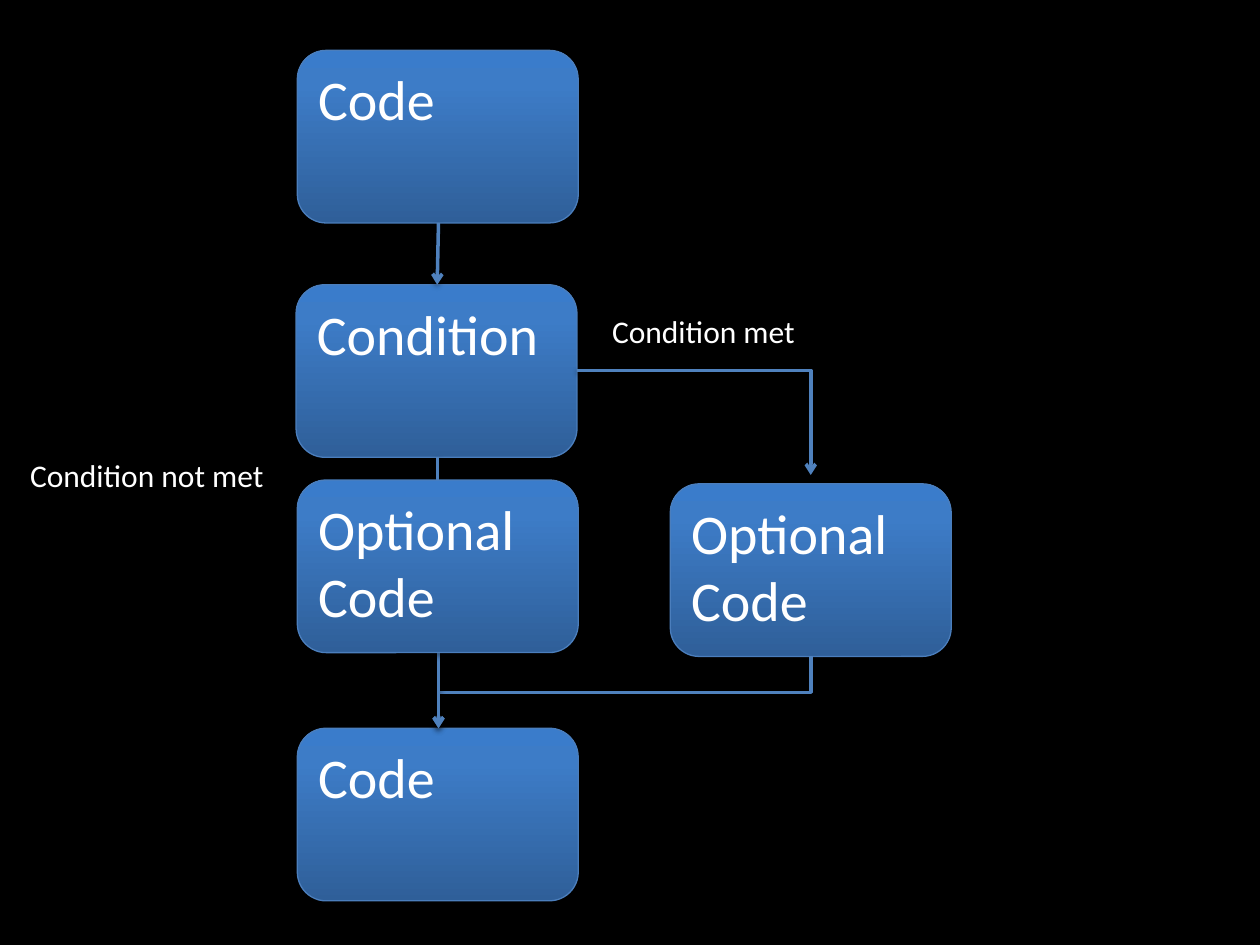
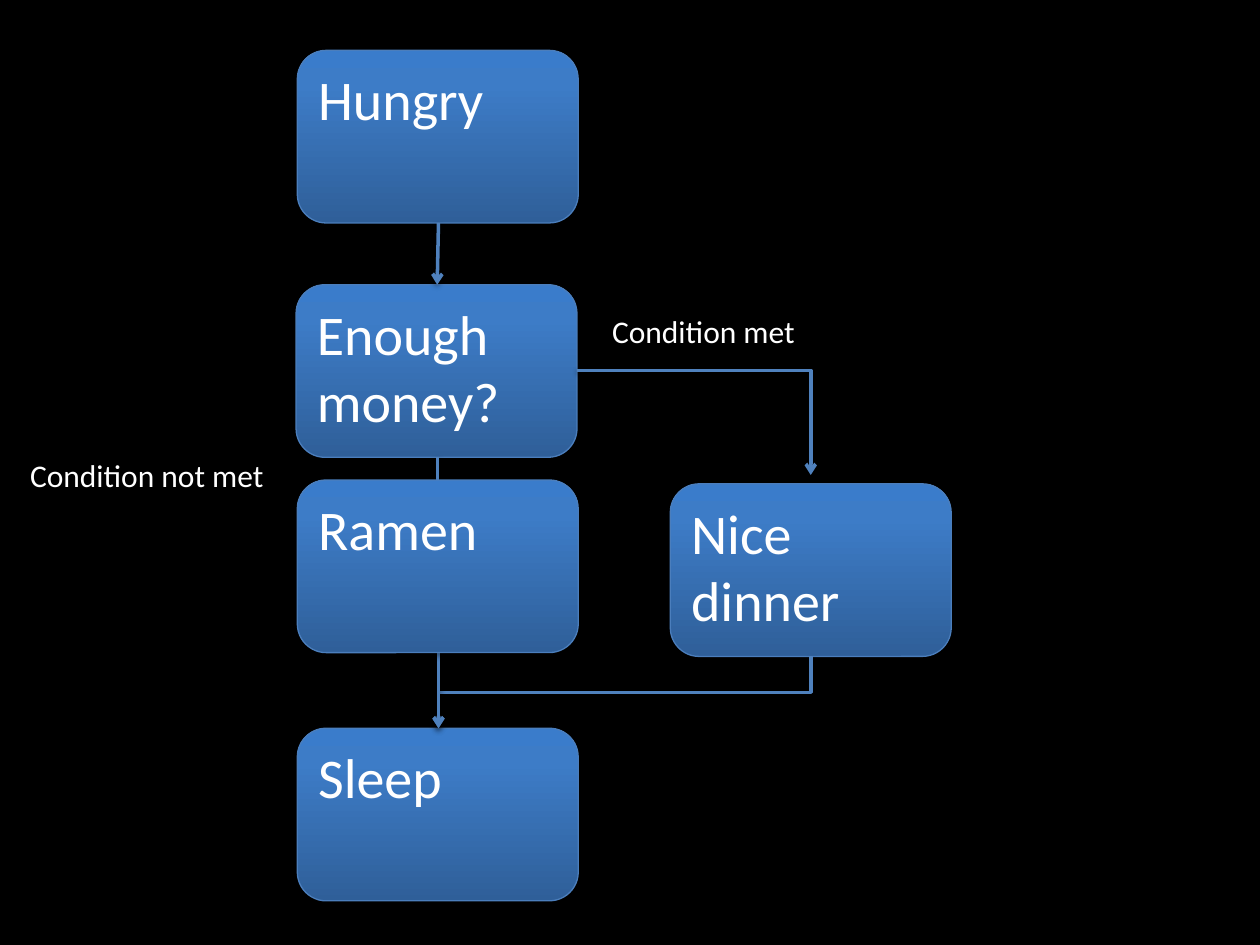
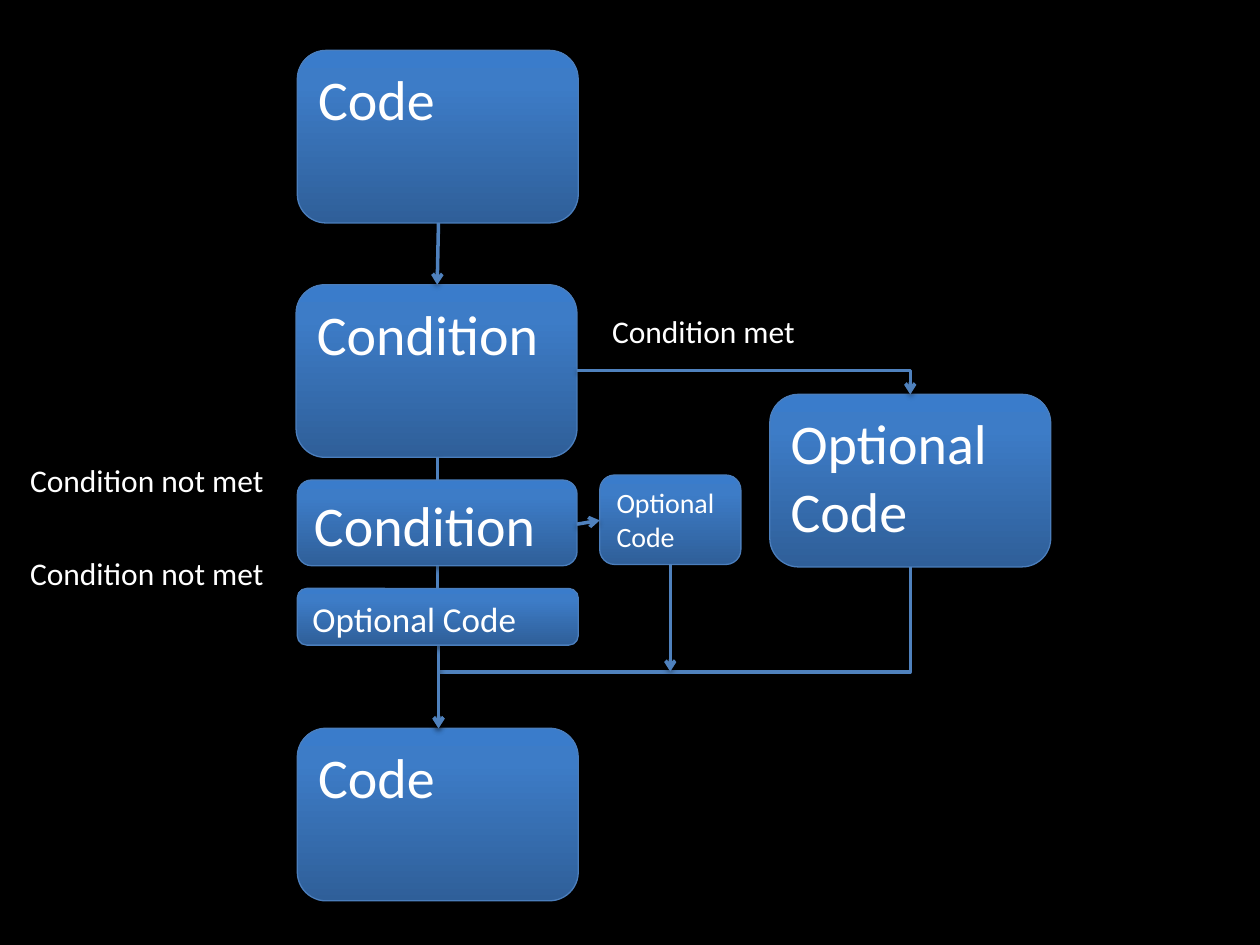
from copy import deepcopy
from pptx import Presentation
from pptx.dml.color import RGBColor
from pptx.enum.shapes import MSO_CONNECTOR as Link, MSO_SHAPE as Shape
from pptx.enum.text import MSO_ANCHOR as Anchor, MSO_AUTO_SIZE as Fit, PP_ALIGN as Align
from pptx.oxml import parse_xml
from pptx.oxml.ns import nsdecls, qn
from pptx.util import Inches, Pt

FONT = "Calibri"
BLACK, WHITE, EDGE, WIRE = "000000", "FFFFFF", "4B7EBC", "4F81BD"
BLUES = [(0, "2F5F99"), (0.8, "3D7CC7"), (1, "3A7CCB")]
WIDE, HIGH = 2.23, 1.37
LEFT, MID = 2.36, 3.48
TOP, TEST, LOW, END = 0.4, 2.26, 3.81, 5.78
EXIT = (4.58, 2.94)

FORK = dict(
    side=(5.32, 3.84), enter=3.77, bend=0.5,
    notes=[3.57], arrows=[],
)
CHAIN = dict(
    side=(6.11, 3.13), enter=3.13, bend=0.65,
    notes=[3.61, 4.35],
    arrows=[((4.58, 4.16), (4.76, 4.13)), ((5.32, 4.48), (5.32, 5.33))],
)
SLIDES = [
    (FORK, ["Code", "Condition", "Optional Code", "Code"],
     [("Optional Code", LEFT, LOW, WIDE, HIGH, 32)]),
    (FORK, ["Hungry", "Enough money?", "Nice dinner", "Sleep"],
     [("Ramen", LEFT, LOW, WIDE, HIGH, 32)]),
    (CHAIN, ["Code", "Condition", "Optional Code", "Code"],
     [("Condition", LEFT, LOW, 2.22, 0.68, 32),
      ("Optional Code", 4.76, 3.77, 1.12, 0.71, 16),
      ("Optional Code", LEFT, 4.67, WIDE, 0.45, 20)]),
]


def tint(code):
    return RGBColor.from_string(code)


def inch(*nums):
    return [Inches(n) for n in nums]


def shade(item, dist, alpha):
    props = item._element.spPr
    for old in props.findall(qn("a:effectLst")):
        props.remove(old)
    props.append(parse_xml(
        f'<a:effectLst {nsdecls("a")}><a:outerShdw blurRad="{Pt(3.1)}" dist="{Pt(dist)}" '
        f'dir="5400000" rotWithShape="0"><a:srgbClr val="{BLACK}">'
        f'<a:alpha val="{alpha}000"/></a:srgbClr></a:outerShdw></a:effectLst>'))


def write(frame, text, size):
    para = frame.paragraphs[0]
    para.text = text
    para.alignment = Align.LEFT
    para.font.name, para.font.size = FONT, Pt(size)
    para.font.color.rgb = tint(WHITE)


def box(slide, text, left, top, wide=WIDE, high=HIGH, size=32):
    item = slide.shapes.add_shape(Shape.ROUNDED_RECTANGLE, *inch(left, top, wide, high))
    item.fill.gradient()
    item.fill.gradient_angle = 90
    stops = item._element.spPr.find(".//" + qn("a:gsLst"))
    stops.append(deepcopy(stops[0]))
    for stop, (place, code) in zip(item.fill.gradient_stops, BLUES):
        stop.position, stop.color.rgb = place, tint(code)
    item.line.color.rgb, item.line.width = tint(EDGE), Pt(0.75)
    shade(item, 1.8, 35)
    frame = item.text_frame
    frame.word_wrap, frame.vertical_anchor = True, Anchor.TOP
    write(frame, text, size)


def note(slide, text, left, top, wide):
    frame = slide.shapes.add_textbox(*inch(left, top, wide, 0.4)).text_frame
    frame.word_wrap, frame.auto_size = False, Fit.SHAPE_TO_FIT_TEXT
    write(frame, text, 18)


def arrow(slide, start, end, kind=Link.STRAIGHT):
    item = slide.shapes.add_connector(kind, *inch(*start, *end))
    item.line.color.rgb, item.line.width = tint(WIRE), Pt(2)
    ends = parse_xml(f'<a:tailEnd {nsdecls("a")} type="arrow"/>')
    item._element.spPr.find(qn("a:ln")).append(ends)
    shade(item, 1.6, 38)
    return item._element.spPr


def corner(slide, start, end):
    props = arrow(slide, start, end, Link.ELBOW)
    props.find(qn("a:prstGeom")).set("prst", "bentConnector2")


def drop(slide, start, end, bend=0.5):
    (x1, y1), (x2, y2) = start, end
    midx, midy = (x1 + x2) / 2, (y1 + y2) / 2
    way = 1 if x2 < x1 else -1
    run, rise = way * (y2 - y1) / 2, abs(x2 - x1) / 2
    props = arrow(slide, (midx - run, midy - rise), (midx + run, midy + rise), Link.ELBOW)
    props.find(qn("a:xfrm")).set("rot", str(way * 90 % 360 * 60000))
    geom = props.find(qn("a:prstGeom"))
    for old in list(geom):
        geom.remove(old)
    geom.append(parse_xml(
        f'<a:avLst {nsdecls("a")}><a:gd name="adj1" fmla="val {round(bend * 100000)}"/></a:avLst>'))


def draw(slide, plan, names, steps):
    left, top = plan["side"]
    spots = [(LEFT, TOP), (LEFT - 0.01, TEST), (left, top), (LEFT, END)]
    for name, spot in zip(names, spots):
        box(slide, name, *spot)
    note(slide, "Condition met", 4.76, 2.43, 1.67)
    for place in plan["notes"]:
        note(slide, "Condition not met", 0.14, place, 2.08)
    hub = left + WIDE / 2
    corner(slide, EXIT, (hub, plan["enter"]))
    drop(slide, (hub, top + HIGH), (MID, END), plan["bend"])
    drop(slide, (MID - 0.01, TEST + HIGH), (MID, END))
    arrow(slide, (MID, TOP + HIGH), (MID - 0.01, TEST))
    for step in steps:
        box(slide, *step)
    for start, end in plan["arrows"]:
        arrow(slide, start, end)


def main():
    deck = Presentation()
    deck.slide_width, deck.slide_height = inch(10, 7.5)
    back = deck.slide_master.background.fill
    back.solid()
    back.fore_color.rgb = tint(BLACK)
    for plan, names, steps in SLIDES:
        draw(deck.slides.add_slide(deck.slide_layouts[6]), plan, names, steps)
    deck.save("out.pptx")


if __name__ == "__main__":
    main()
